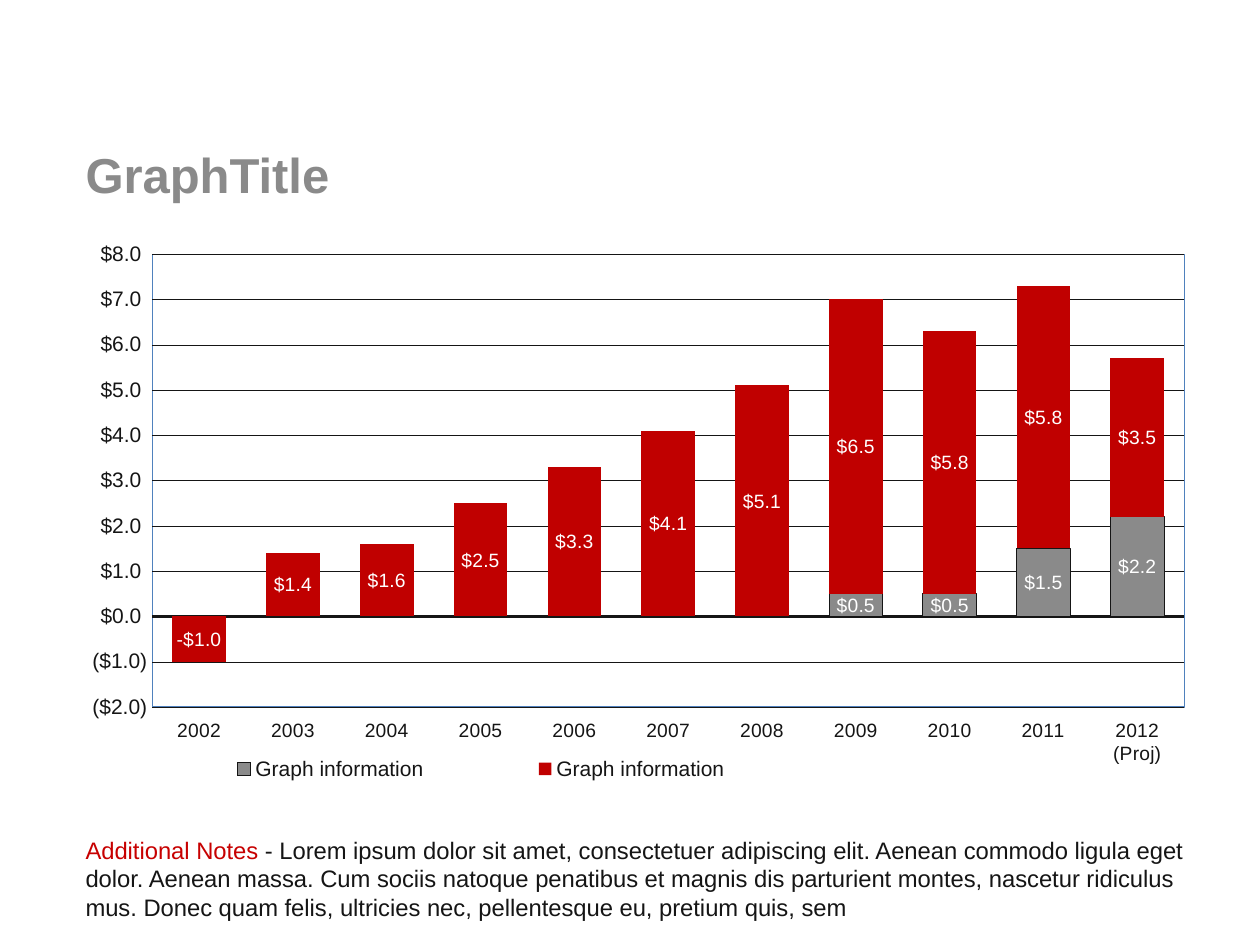
from collections import namedtuple
from dataclasses import dataclass

from lxml import etree
from pptx import Presentation
from pptx.chart.data import CategoryChartData
from pptx.dml.color import RGBColor
from pptx.enum.chart import (XL_CHART_TYPE, XL_LABEL_POSITION, XL_LEGEND_POSITION,
                             XL_TICK_LABEL_POSITION, XL_TICK_MARK)
from pptx.enum.text import MSO_ANCHOR, MSO_AUTO_SIZE, PP_ALIGN
from pptx.oxml import parse_xml
from pptx.oxml.ns import nsdecls, qn
from pptx.util import Cm, Pt

STACKED = XL_CHART_TYPE.COLUMN_STACKED
CENTER = XL_LABEL_POSITION.CENTER
BOTTOM = XL_LEGEND_POSITION.BOTTOM
LOW = XL_TICK_LABEL_POSITION.LOW
NO_TICK = XL_TICK_MARK.NONE
TOP, MIDDLE = MSO_ANCHOR.TOP, MSO_ANCHOR.MIDDLE
NO_AUTOFIT = MSO_AUTO_SIZE.NONE
LEFT = PP_ALIGN.LEFT

Box = namedtuple("Box", "left top width height")


@dataclass(frozen=True)
class Theme:
    font: str = "Arial"
    gray: str = "8A8A8A"
    red: str = "C00000"
    accent: str = "C70000"
    ink: str = "151515"
    white: str = "FFFFFF"
    frame: str = "4F81BD"
    title_size: float = 28
    body_size: float = 13.6
    axis_size: float = 12
    label_size: float = 11


THEME = Theme()
YEARS = [str(year) for year in range(2002, 2012)] + ["2012 (Proj)"]
SERIES = [
    ("Graph information", [None] * 7 + [0.5, 0.5, 1.5, 2.2], THEME.gray),
    ("Graph information", [-1, 1.4, 1.6, 2.5, 3.3, 4.1, 5.1, 6.5, 5.8, 5.8, 3.5], THEME.red),
]
REMARKS = ("- Lorem ipsum dolor sit amet, consectetuer adipiscing elit. Aenean commodo "
           "ligula eget dolor. Aenean massa. Cum sociis natoque penatibus et magnis dis "
           "parturient montes, nascetur ridiculus mus. Donec quam felis, ultricies nec, "
           "pellentesque eu, pretium quis, sem")


def style_font(font, size, color, bold=False):
    font.name = THEME.font
    font.size = Pt(size)
    font.bold = bold
    font.color.rgb = RGBColor.from_string(color)


def style_line(line, color, width):
    line.color.rgb = RGBColor.from_string(color)
    line.width = Pt(width)


def add_text(paragraph, text, **style):
    run = paragraph.add_run()
    run.text = text
    style_font(run.font, **style)


def prepare_placeholder(placeholder, box, anchor):
    """Move a placeholder into its box and return its first paragraph."""
    placeholder.left, placeholder.top, placeholder.width, placeholder.height = box
    frame = placeholder.text_frame
    frame.word_wrap = True
    frame.auto_size = NO_AUTOFIT
    frame.vertical_anchor = anchor
    paragraph = frame.paragraphs[0]
    paragraph.alignment = LEFT
    return paragraph


def set_layout(parent, previous, x, y, width, height, inner=False):
    """Place a chart part by fractions of the chart's size."""
    for existing in parent.findall(qn("c:layout")):
        parent.remove(existing)
    target = '<c:layoutTarget val="inner"/>' if inner else ""
    layout = parse_xml(
        f'<c:layout {nsdecls("c")}><c:manualLayout>{target}'
        '<c:xMode val="edge"/><c:yMode val="edge"/>'
        f'<c:x val="{x}"/><c:y val="{y}"/><c:w val="{width}"/><c:h val="{height}"/>'
        '</c:manualLayout></c:layout>')
    if previous is None:
        parent.insert(0, layout)
    else:
        previous.addnext(layout)


def build_title(slide, box):
    paragraph = prepare_placeholder(slide.shapes.title, box, MIDDLE)
    add_text(paragraph, "GraphTitle", size=THEME.title_size, color=THEME.gray, bold=True)


def build_remarks(slide, box):
    paragraph = prepare_placeholder(slide.placeholders[1], box, TOP)
    paragraph.space_before = Pt(2.8)
    properties = paragraph._p.get_or_add_pPr()
    properties.set("marL", "0")
    properties.set("indent", "0")
    etree.SubElement(properties, qn("a:buNone"))
    add_text(paragraph, "Additional Notes ", size=THEME.body_size, color=THEME.accent)
    add_text(paragraph, REMARKS, size=THEME.body_size, color=THEME.ink)


def format_axes(chart):
    category_axis, value_axis = chart.category_axis, chart.value_axis
    for axis, size in ((category_axis, THEME.label_size), (value_axis, THEME.axis_size)):
        axis.major_tick_mark = axis.minor_tick_mark = NO_TICK
        style_font(axis.tick_labels.font, size, THEME.ink)
    category_axis.tick_label_position = LOW
    style_line(category_axis.format.line, THEME.ink, 1.39)

    value_axis.minimum_scale, value_axis.maximum_scale = -2, 8
    value_axis.major_unit = 1
    value_axis.tick_labels.number_format = '\\$#,##0.0_);"($"#,##0.0\\)'
    value_axis.tick_labels.number_format_is_linked = False
    value_axis.format.line.fill.background()
    style_line(value_axis.major_gridlines.format.line, THEME.ink, 0.11)


def format_series(series, color):
    series.invert_if_negative = False
    series.format.fill.solid()
    series.format.fill.fore_color.rgb = RGBColor.from_string(color)
    if color == THEME.gray:
        style_line(series.format.line, THEME.ink, 0.45)
    labels = series.data_labels
    labels.show_value = True
    labels.position = CENTER
    labels.number_format = "\\$#,##0.0"
    labels.number_format_is_linked = False
    style_font(labels.font, THEME.label_size, THEME.white)


def build_chart(slide, box):
    data = CategoryChartData()
    data.categories = YEARS
    for name, values, _ in SERIES:
        data.add_series(name, values)
    chart = slide.shapes.add_chart(STACKED, *box, data).chart
    chart.has_title = False
    style_font(chart.font, 10, THEME.ink)

    # Columns and axes
    plot = chart.plots[0]
    plot.gap_width, plot.overlap = 75, 100
    plot.vary_by_categories = False
    for series, (_, _, color) in zip(plot.series, SERIES):
        format_series(series, color)
    format_axes(chart)

    # Framed plot area
    plot_area = chart.element.find(".//" + qn("c:plotArea"))
    set_layout(plot_area, None, 0.07, 0.04, 0.91, 0.77, inner=True)
    plot_area.append(parse_xml(
        f'<c:spPr {nsdecls("c", "a")}><a:noFill/><a:ln w="{Pt(0.75)}"><a:solidFill>'
        f'<a:srgbClr val="{THEME.frame}"/></a:solidFill></a:ln></c:spPr>'))

    # Legend below the columns
    chart.has_legend = True
    chart.legend.position = BOTTOM
    chart.legend.include_in_layout = False
    style_font(chart.legend.font, THEME.axis_size, THEME.ink)
    legend = chart.element.find(".//" + qn("c:legend"))
    set_layout(legend, legend.find(qn("c:legendPos")), 0.05, 0.88, 0.62, 0.07)


def main():
    presentation = Presentation()
    presentation.slide_width, presentation.slide_height = Cm(25.4), Cm(19.05)
    slide = presentation.slides.add_slide(presentation.slide_layouts[1])
    left, width = Cm(1.47), Cm(22.86)
    build_title(slide, Box(left, Cm(2.74), Cm(8.36), Cm(1.52)))
    build_remarks(slide, Box(left, Cm(16.71), width, Cm(1.9)))
    build_chart(slide, Box(left, Cm(4.65), width, Cm(11.86)))
    presentation.save("out.pptx")


if __name__ == "__main__":
    main()
